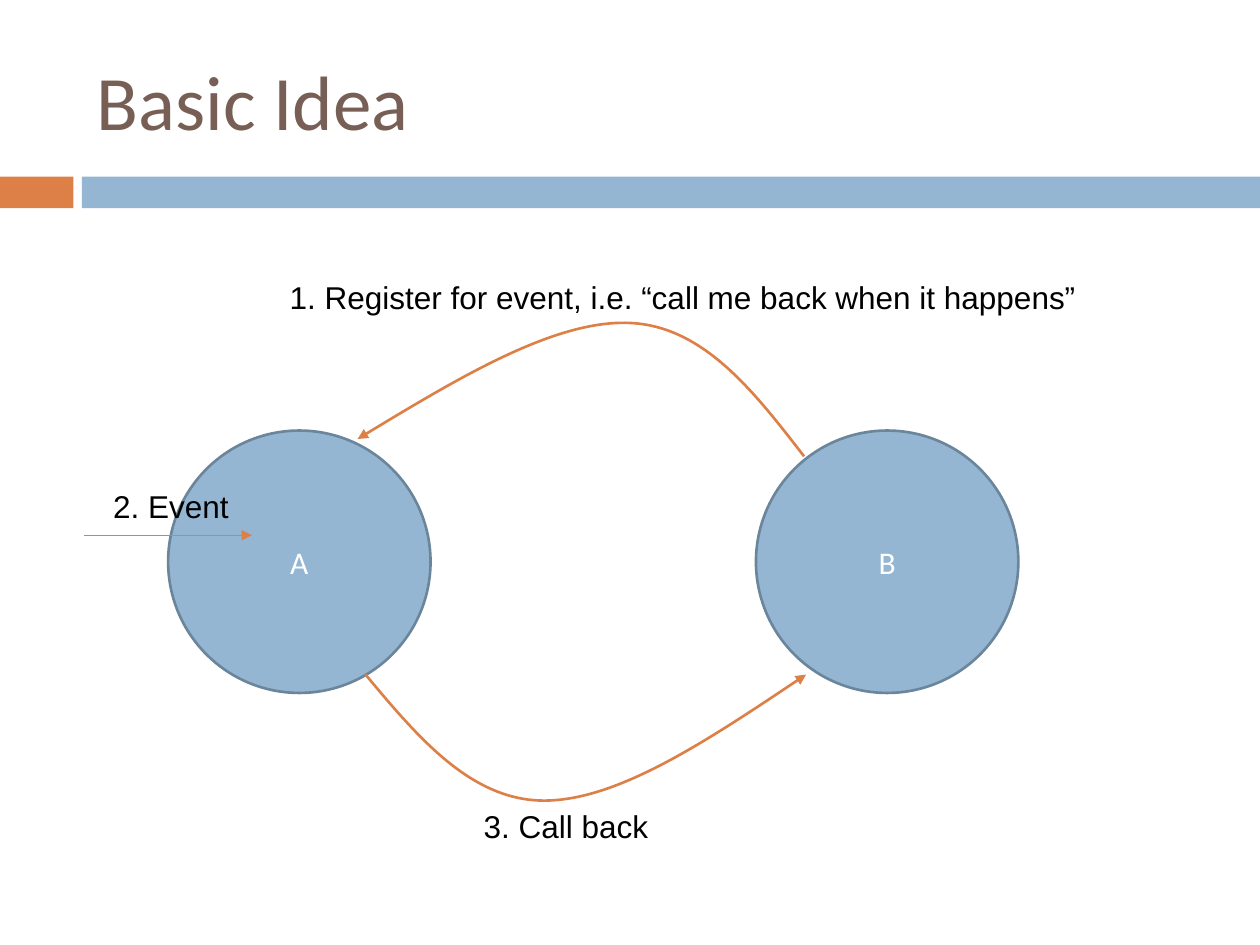
from pptx import Presentation
from pptx.dml.color import RGBColor
from pptx.enum.shapes import MSO_CONNECTOR, MSO_SHAPE
from pptx.enum.text import MSO_ANCHOR, MSO_AUTO_SIZE, PP_ALIGN
from pptx.oxml.ns import qn
from pptx.oxml.xmlchemy import OxmlElement as new_element
from pptx.util import Cm, Pt

BLUE = RGBColor(0x94, 0xB6, 0xD2)
BLUE_EDGE = RGBColor(0x6B, 0x85, 0x9A)
ORANGE = RGBColor(0xDD, 0x80, 0x47)
BROWN = RGBColor(0x77, 0x5F, 0x55)
WHITE = RGBColor(0xFF, 0xFF, 0xFF)
BLACK = RGBColor(0, 0, 0)

TITLE_FONT = {"name": "Calibri", "size": Pt(44)}
CIRCLE_FONT = {"name": "Calibri", "size": Pt(18)}
LABEL_FONT = {"name": "Arial", "size": Pt(18)}


def write(frame, text, font_format, color, align=PP_ALIGN.LEFT):
    frame.text = text
    paragraph = frame.paragraphs[0]
    paragraph.alignment = align
    font = paragraph.runs[0].font
    for attribute, value in font_format.items():
        setattr(font, attribute, value)
    font.color.rgb = color


def style_arrow(line, width):
    """Colour the line and put a triangle at its end."""
    line.color.rgb = ORANGE
    line.width = Pt(width)
    head = new_element("a:tailEnd")
    head.set("type", "triangle")
    line._get_or_add_ln().append(head)


presentation = Presentation()
presentation.slide_width, presentation.slide_height = Cm(25.4), Cm(19.05)
slide = presentation.slides.add_slide(presentation.slide_layouts[5])
shapes = slide.shapes

# Title and the two-part band under it
title = shapes.title
title.left, title.top, title.width, title.height = Cm(1.7), Cm(0.64), Cm(22.66), Cm(2.74)
title.text_frame.vertical_anchor = MSO_ANCHOR.MIDDLE
write(title.text_frame, "Basic Idea", TITLE_FONT, BROWN)

for left, width, color in [(0, 1.48, ORANGE), (1.65, 23.75, BLUE)]:
    band = shapes.add_shape(MSO_SHAPE.RECTANGLE, Cm(left), Cm(3.56), Cm(width), Cm(0.64))
    band.shadow.inherit = False
    band.fill.solid()
    band.fill.fore_color.rgb = color
    band.line.fill.background()

# The two parties
for name, left in [("A", 3.39), ("B", 15.24)]:
    circle = shapes.add_shape(MSO_SHAPE.OVAL, Cm(left), Cm(8.68), Cm(5.29), Cm(5.29))
    circle.shadow.inherit = False
    circle.fill.solid()
    circle.fill.fore_color.rgb = BLUE
    circle.line.color.rgb = BLUE_EDGE
    circle.line.width = Pt(1.5)
    circle.text_frame.vertical_anchor = MSO_ANCHOR.MIDDLE
    write(circle.text_frame, name, CIRCLE_FONT, WHITE, PP_ALIGN.CENTER)

# Curved arrows: a start point, then three Bezier points per segment
register_curve = [(16.21, 9.2), (15.19, 7.88), (14.17, 6.56), (12.67, 6.51),
                  (11.18, 6.46), (9.19, 7.65), (7.21, 8.85)]
callback_curve = [(7.37, 13.6), (8.43, 14.87), (9.5, 16.14), (10.97, 16.14),
                  (12.45, 16.14), (14.35, 14.87), (16.25, 13.6)]
for points in (register_curve, callback_curve):
    start, *bends = [(Cm(x), Cm(y)) for x, y in points]
    builder = shapes.build_freeform(*start)
    builder.add_line_segments(bends, close=False)
    curve = builder.convert_to_shape()
    steps = list(curve._element.iter(qn("a:lnTo")))
    for first in range(0, len(steps), 3):
        bezier = new_element("a:cubicBezTo")
        steps[first].addprevious(bezier)
        for step in steps[first:first + 3]:
            bezier.append(step[0])
            step.getparent().remove(step)
    curve.shadow.inherit = False
    curve.fill.background()
    style_arrow(curve.line, 1.5)

event_arrow = shapes.add_connector(MSO_CONNECTOR.STRAIGHT, Cm(1.69), Cm(10.79), Cm(5.08), Cm(10.79))
event_arrow._element.spPr.append(new_element("a:effectLst"))
style_arrow(event_arrow.line, 0.8)

# Numbered steps, each wide enough for one line
for text, left, top, width in [
    ("1. Register for event, i.e. “call me back when it happens”", 5.59, 5.48, 16.6),
    ("2. Event", 2.03, 9.7, 3.1),
    ("3. Call back", 9.5, 16.15, 4.1),
]:
    label = shapes.add_textbox(Cm(left), Cm(top), Cm(width), Cm(1.02))
    label.text_frame.word_wrap = True
    label.text_frame.auto_size = MSO_AUTO_SIZE.SHAPE_TO_FIT_TEXT
    write(label.text_frame, text, LABEL_FONT, BLACK)

presentation.save("out.pptx")
